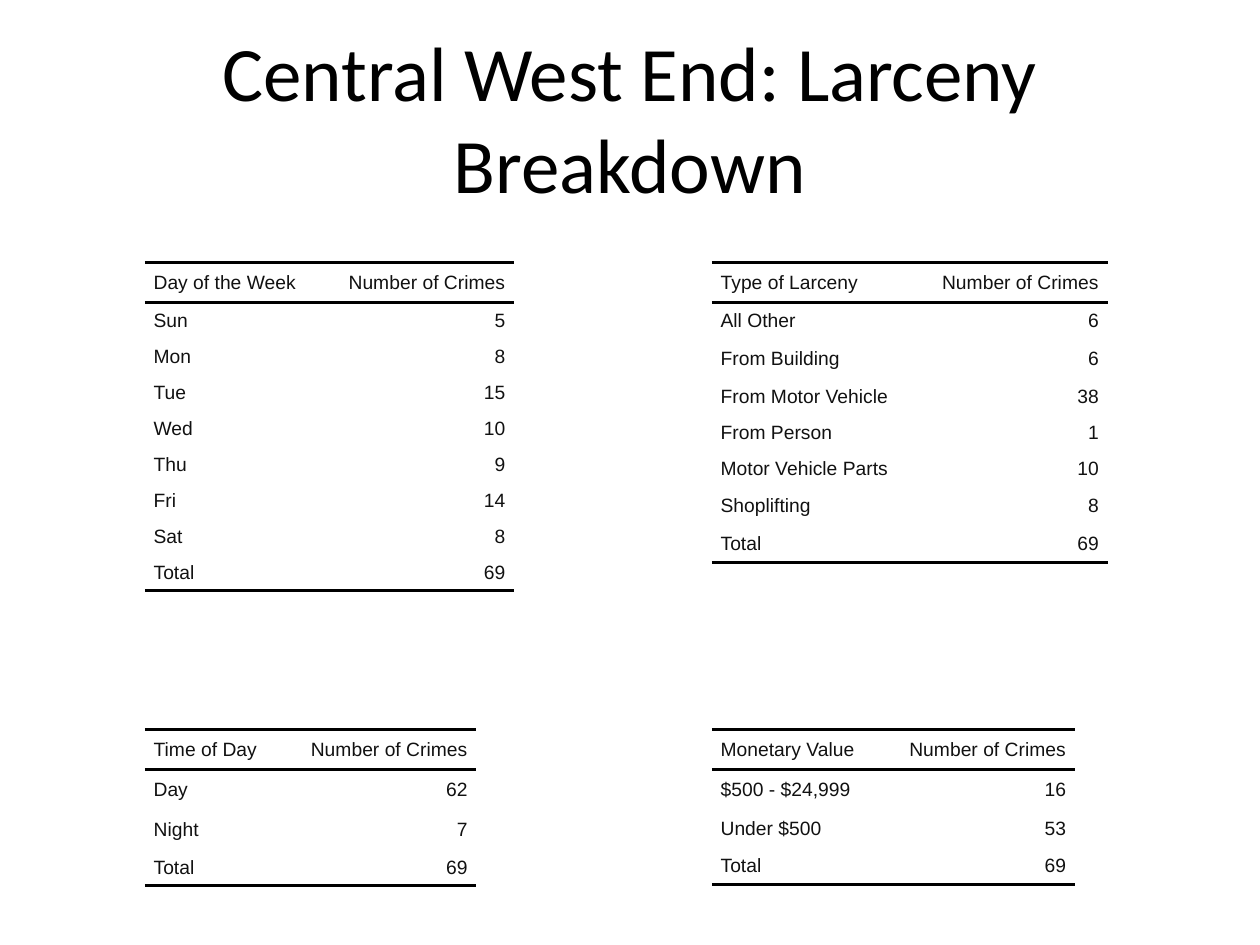
from lxml import etree
from pptx import Presentation
from pptx.dml.color import RGBColor
from pptx.enum.text import MSO_ANCHOR, PP_ALIGN
from pptx.oxml.ns import qn
from pptx.util import Pt

MIDDLE = MSO_ANCHOR.MIDDLE
LEFT, CENTER, RIGHT = PP_ALIGN.LEFT, PP_ALIGN.CENTER, PP_ALIGN.RIGHT
COLORS = {"title": "000000", "rule": "000000", "text": "111111"}
NO_STYLE = "{2D5ABB26-0587-4C30-8999-92F81FD0307C}"
COUNT_HEADING = "Number of Crimes"
COUNT_WIDTH = 109.5
CELL_INDENT = 5
LEFT_X, RIGHT_X = 82.8, 406.8
TOP_Y, BOTTOM_Y = 149.8, 416.9
HEAD, ROW, TALL = 23, 20.6, 22.8

# left, top, first column width, row heights, rows
TABLES = [
    (LEFT_X, TOP_Y, 101.5, [HEAD] + [ROW] * 8,
     [("Day of the Week", COUNT_HEADING), ("Sun", 5), ("Mon", 8), ("Tue", 15),
      ("Wed", 10), ("Thu", 9), ("Fri", 14), ("Sat", 8), ("Total", 69)]),
    (LEFT_X, BOTTOM_Y, 79.9, [HEAD, TALL, TALL, ROW],
     [("Time of Day", COUNT_HEADING), ("Day", 62), ("Night", 7), ("Total", 69)]),
    (RIGHT_X, TOP_Y, 116.6, [HEAD, ROW, TALL, ROW, ROW, ROW, TALL, ROW],
     [("Type of Larceny", COUNT_HEADING), ("All Other", 6), ("From Building", 6),
      ("From Motor Vehicle", 38), ("From Person", 1), ("Motor Vehicle Parts", 10),
      ("Shoplifting", 8), ("Total", 69)]),
    (RIGHT_X, BOTTOM_Y, 97.9, [HEAD, TALL, 22, ROW],
     [("Monetary Value", COUNT_HEADING), ("$500 - $24,999", 16),
      ("Under $500", 53), ("Total", 69)]),
]


def set_font(para, name, size, color):
    para.font.name = name
    para.font.size = Pt(size)
    para.font.color.rgb = RGBColor.from_string(COLORS[color])


def add_title(page, left, top, width, height):
    box = page.shapes.add_textbox(Pt(left), Pt(top), Pt(width), Pt(height))
    frame = box.text_frame
    frame.word_wrap = True
    frame.vertical_anchor = MIDDLE
    para = frame.paragraphs[0]
    para.text = "Central West End: Larceny Breakdown"
    para.alignment = CENTER
    set_font(para, "Calibri", 44, "title")


def add_rule(cell, edge):
    """Draw a 2 pt border on one edge: lnT or lnB."""
    line = etree.SubElement(cell._tc.get_or_add_tcPr(), qn(f"a:{edge}"), w=str(Pt(2)))
    fill = etree.SubElement(line, qn("a:solidFill"))
    etree.SubElement(fill, qn("a:srgbClr"), val=COLORS["rule"])


def fill_cell(cell, text, alignment, edges):
    cell.margin_left = cell.margin_right = cell.margin_top = cell.margin_bottom = 0
    cell.vertical_anchor = MIDDLE
    for edge in edges:
        add_rule(cell, edge)
    cell.fill.background()
    para = cell.text_frame.paragraphs[0]
    para.text = text
    para.alignment = alignment
    para.space_before = para.space_after = Pt(2)
    properties = para._p.get_or_add_pPr()
    for side in ("marL", "marR"):
        properties.set(side, str(Pt(CELL_INDENT)))
    set_font(para, "Arial", 11, "text")


def add_count_table(page, left, top, label_width, heights, rows):
    widths = (label_width, COUNT_WIDTH)
    table = page.shapes.add_table(len(rows), len(widths), Pt(left), Pt(top),
                                  Pt(sum(widths)), Pt(sum(heights))).table
    table.first_row = table.horz_banding = False
    table._tbl.tblPr.find(qn("a:tableStyleId")).text = NO_STYLE
    for column, width in zip(table.columns, widths):
        column.width = Pt(width)
    edges = {0: ("lnT", "lnB"), len(rows) - 1: ("lnB",)}
    for index, (values, height) in enumerate(zip(rows, heights)):
        table.rows[index].height = Pt(height)
        for cell, value, alignment in zip(table.rows[index].cells, values, (LEFT, RIGHT)):
            fill_cell(cell, str(value), alignment, edges.get(index, ()))


def main():
    deck = Presentation()
    deck.slide_width, deck.slide_height = Pt(720), Pt(540)
    page = deck.slides.add_slide(deck.slide_layouts[6])
    add_title(page, 36, 21.6, 648, 90)
    for spec_row in TABLES:
        add_count_table(page, *spec_row)
    deck.save("out.pptx")


if __name__ == "__main__":
    main()
